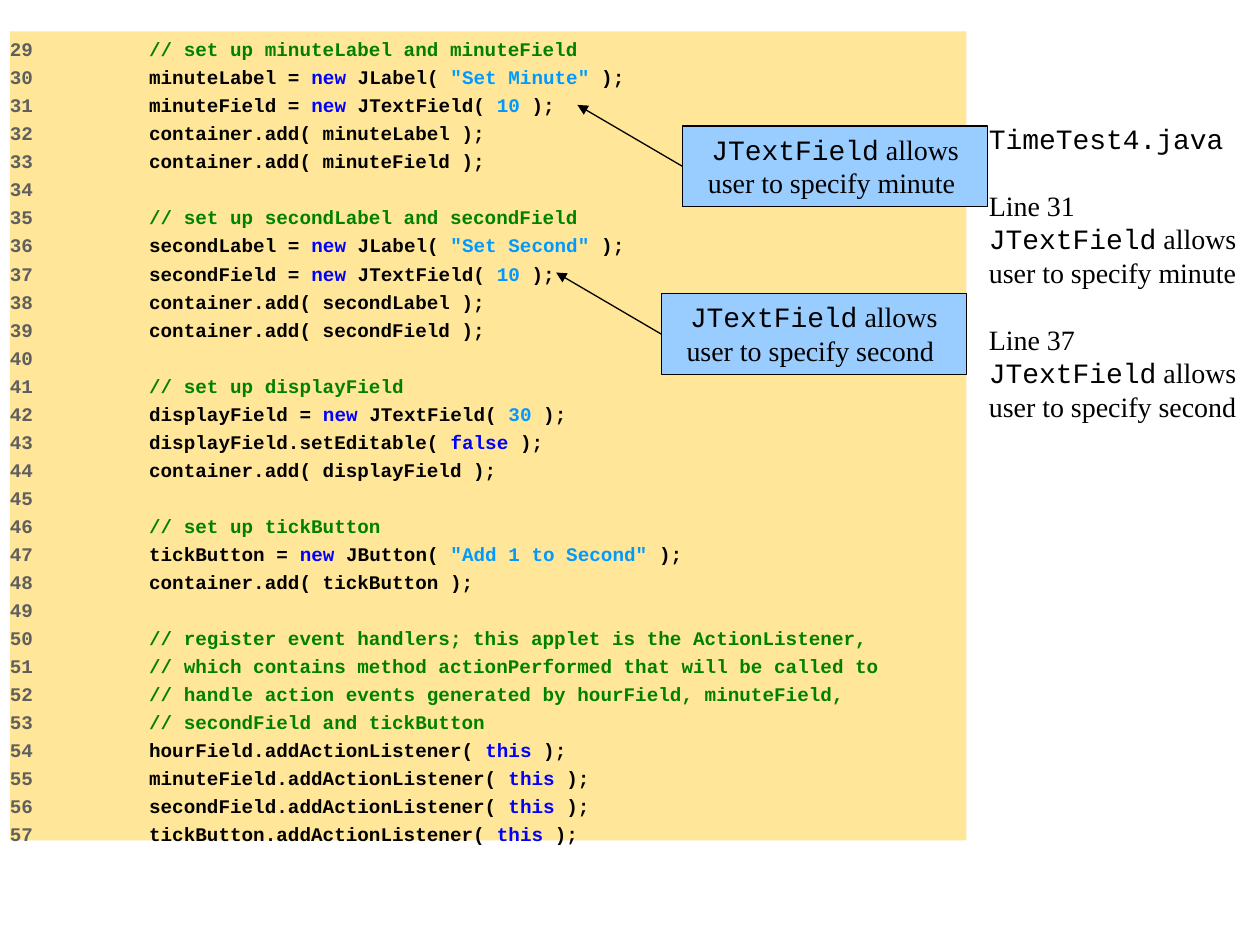
from lxml.etree import SubElement
from pptx import Presentation
from pptx.dml.color import RGBColor
from pptx.enum.shapes import MSO_CONNECTOR, MSO_SHAPE
from pptx.enum.text import MSO_ANCHOR, MSO_AUTO_SIZE, PP_ALIGN
from pptx.oxml.ns import qn
from pptx.util import Cm, Pt

MONO = "Courier New"
SERIF = "Times New Roman"
BLACK = "000000"
FIRST_LINE = 29
CODE_COLUMN = 12
KEYWORDS = ("new", "false", "this")
CODE = [
    '// set up minuteLabel and minuteField',
    'minuteLabel = |new| JLabel( |"Set Minute"| );',
    'minuteField = |new| JTextField( |10| );',
    'container.add( minuteLabel );',
    'container.add( minuteField );',
    '',
    '// set up secondLabel and secondField',
    'secondLabel = |new| JLabel( |"Set Second"| );',
    'secondField = |new| JTextField( |10| );',
    'container.add( secondLabel );',
    'container.add( secondField );',
    '',
    '// set up displayField',
    'displayField = |new| JTextField( |30| );',
    'displayField.setEditable( |false| );',
    'container.add( displayField );',
    '',
    '// set up tickButton',
    'tickButton = |new| JButton( |"Add 1 to Second"| );',
    'container.add( tickButton );',
    '',
    '// register event handlers; this applet is the ActionListener,',
    '// which contains method actionPerformed that will be called to',
    '// handle action events generated by hourField, minuteField,',
    '// secondField and tickButton',
    'hourField.addActionListener( |this| );',
    'minuteField.addActionListener( |this| );',
    'secondField.addActionListener( |this| );',
    'tickButton.addActionListener( |this| );',
]
SUMMARY = [
    (0, [("TimeTest4.java", MONO)]),
    (19, [("Line 31", SERIF)]),
    (0, [("JTextField", MONO), (" allows user to specify minute", SERIF)]),
    (19, [("Line 37", SERIF)]),
    (0, [("JTextField", MONO), (" allows user to specify second", SERIF)]),
]
CALLOUTS = [
    (13.33, 5.92, " allows user to specify second "),
    (13.76, 2.54, " allows user to specify minute "),
]
CALLOUT_WIDTH, CALLOUT_HEIGHT = 6.15, 1.63
ARROW_RUN, ARROW_RISE = 2.12, 1.24


def color(value):
    return RGBColor.from_string(value)


def place(shape, left, top, width, height):
    shape.left, shape.top = Cm(left), Cm(top)
    shape.width, shape.height = Cm(width), Cm(height)


def add_run(paragraph, text, font_name, size, hex_color=BLACK, bold=False):
    run = paragraph.add_run()
    run.text = text
    run.font.name = font_name
    run.font.size = Pt(size)
    run.font.bold = bold
    run.font.color.rgb = color(hex_color)


def prepare(text_frame):
    text_frame.word_wrap = True
    text_frame.auto_size = MSO_AUTO_SIZE.NONE
    text_frame.vertical_anchor = MSO_ANCHOR.TOP


def paragraphs_for(text_frame, items):
    for index, item in enumerate(items):
        yield text_frame.add_paragraph() if index else text_frame.paragraphs[0], item


def token_color(token):
    if token.startswith("//"):
        return "008000"
    if token in KEYWORDS:
        return "0000FF"
    if token.startswith('"') or token.isdigit():
        return "0099FF"
    return BLACK


def fill_summary(title):
    place(title, 19.68, 2.32, 5.72, 15.24)
    prepare(title.text_frame)
    for paragraph, (gap, pieces) in paragraphs_for(title.text_frame, SUMMARY):
        paragraph.alignment = PP_ALIGN.LEFT
        paragraph.space_before = Pt(gap)
        for text, font_name in pieces:
            add_run(paragraph, text, font_name, 16)


def fill_code(panel):
    place(panel, 0.2, 0.63, 19.28, 16.31)
    panel.fill.solid()
    panel.fill.fore_color.rgb = color("FFE699")
    prepare(panel.text_frame)
    panel.text_frame.margin_left = 0
    lines = enumerate(CODE, FIRST_LINE)
    for paragraph, (number, code) in paragraphs_for(panel.text_frame, lines):
        paragraph.alignment = PP_ALIGN.LEFT
        paragraph.space_before = Pt(2.8)
        label = str(number).ljust(CODE_COLUMN) if code else str(number)
        add_run(paragraph, label, MONO, 11, "5F5F5F", True)
        for token in code.split("|") if code else []:
            add_run(paragraph, token, MONO, 11, token_color(token), True)


def add_callout(slide, left, top, text):
    group = slide.shapes.add_group_shape()
    box = group.shapes.add_shape(
        MSO_SHAPE.RECTANGLE, Cm(left), Cm(top), Cm(CALLOUT_WIDTH), Cm(CALLOUT_HEIGHT))
    box.shadow.inherit = False
    box.fill.solid()
    box.fill.fore_color.rgb = color("99CCFF")
    prepare(box.text_frame)
    paragraph = box.text_frame.paragraphs[0]
    paragraph.alignment = PP_ALIGN.CENTER
    paragraph.space_before = Pt(10)
    add_run(paragraph, "JTextField", MONO, 16)
    add_run(paragraph, text, SERIF, 16)

    middle = top + CALLOUT_HEIGHT / 2
    arrow = group.shapes.add_connector(
        MSO_CONNECTOR.STRAIGHT, Cm(left), Cm(middle),
        Cm(left - ARROW_RUN), Cm(middle - ARROW_RISE))
    arrow.begin_connect(box, 1)
    for shape in (box, arrow):
        shape.line.color.rgb = color(BLACK)
        shape.line.width = Pt(0.75)
    SubElement(arrow.line._get_or_add_ln(), qn("a:tailEnd"), type="triangle")
    SubElement(arrow._element.spPr, qn("a:effectLst"))


def main():
    presentation = Presentation()
    presentation.slide_width, presentation.slide_height = Cm(25.4), Cm(19.05)
    slide = presentation.slides.add_slide(presentation.slide_layouts[0])
    fill_summary(slide.shapes.title)
    fill_code(slide.placeholders[1])
    for callout in CALLOUTS:
        add_callout(slide, *callout)
    presentation.save("out.pptx")


if __name__ == "__main__":
    main()
